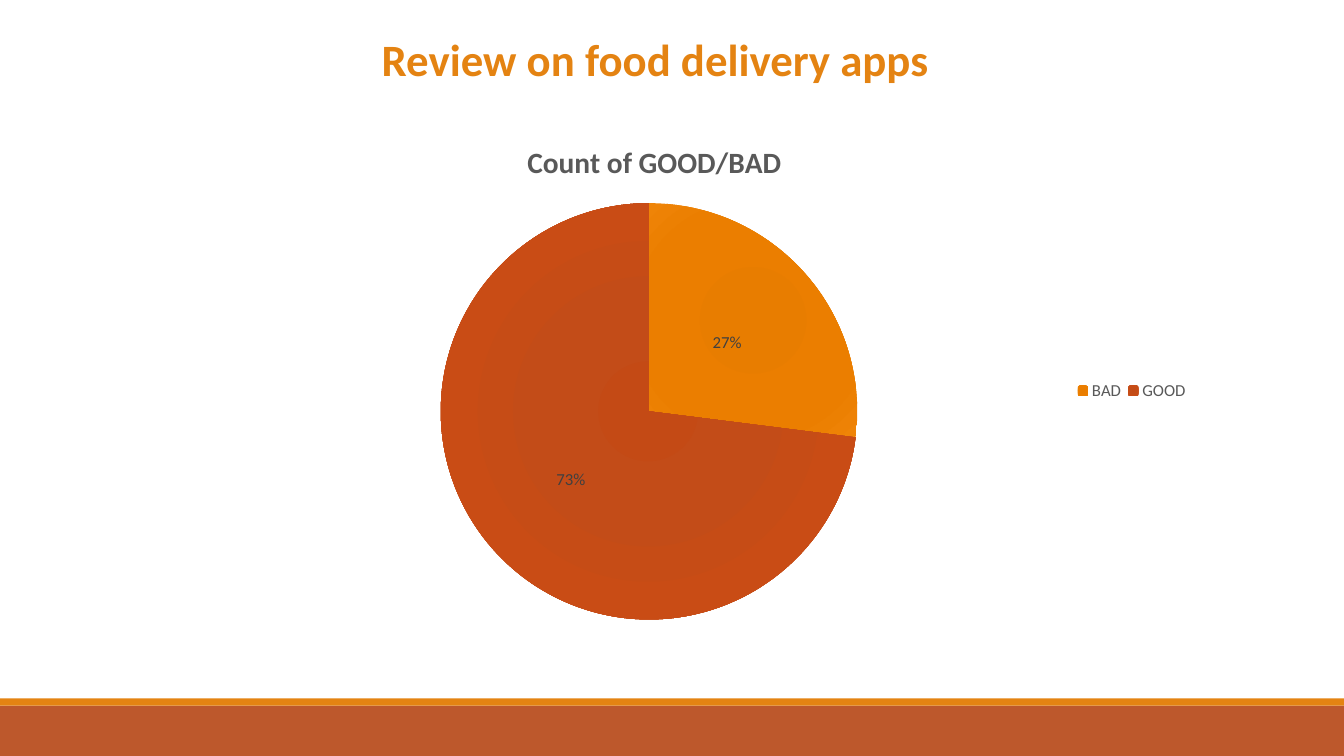
from pptx import Presentation
from pptx.chart.data import CategoryChartData
from pptx.dml.color import RGBColor
from pptx.enum.chart import XL_CHART_TYPE, XL_LABEL_POSITION, XL_LEGEND_POSITION
from pptx.enum.shapes import MSO_SHAPE
from pptx.enum.text import PP_ALIGN
from pptx.oxml import parse_xml
from pptx.oxml.ns import nsdecls, qn
from pptx.util import Inches, Pt

RECTANGLE = MSO_SHAPE.RECTANGLE
RIGHT = PP_ALIGN.RIGHT
PIE = XL_CHART_TYPE.PIE
LABEL_CENTER = XL_LABEL_POSITION.CENTER
LEGEND_RIGHT = XL_LEGEND_POSITION.RIGHT

FONT = "Calibri"
COLORS = {
    "orange": "E48312",
    "rust": "BD582C",
    "heading": "595959",
    "label": "404040",
}
REVIEWS = {"BAD": 27, "GOOD": 73}
GRADIENT_STOPS = (0, 34, 70, 100)
SLICE_GRADIENTS = (
    ("E57B00", "E87D00", "EB7E00", "EF8407"),
    ("C44A15", "C34C18", "C94C15", "C45525"),
)


def style_font(font, size, color, bold=False):
    font.name = FONT
    font.size = Pt(size)
    font.bold = bold
    font.color.rgb = RGBColor.from_string(COLORS[color])


def write_text(frame, text, align=None, **font_format):
    paragraph = frame.paragraphs[0]
    paragraph.alignment = align
    run = paragraph.add_run()
    run.text = text
    style_font(run.font, **font_format)


def add_band(slide, top, height, color):
    band = slide.shapes.add_shape(
        RECTANGLE, Inches(0), Inches(top), Inches(13.33), Inches(height))
    band.shadow.inherit = False
    band.fill.solid()
    band.fill.fore_color.rgb = RGBColor.from_string(COLORS[color])
    band.line.fill.background()


def add_heading(slide, text):
    heading = slide.shapes.add_textbox(
        Inches(2.06), Inches(0.27), Inches(7.25), Inches(0.64))
    heading.text_frame.word_wrap = True
    write_text(heading.text_frame, text, align=RIGHT,
               size=32, color="orange", bold=True)


def place_part(part, **fractions):
    """Place a chart part by fractions (x, y, w, h) of the chart area."""
    for old_layout in part.findall(qn("c:layout")):
        part.remove(old_layout)
    target = '<c:layoutTarget val="inner"/>' if part.tag == qn("c:plotArea") else ""
    modes = "".join(f'<c:{axis}Mode val="edge"/>' for axis in "xy")
    values = "".join(f'<c:{key} val="{value}"/>' for key, value in fractions.items())
    layout = parse_xml(
        f'<c:layout {nsdecls("c")}><c:manualLayout>{target}{modes}{values}'
        "</c:manualLayout></c:layout>")
    overlay = part.find(qn("c:overlay"))
    if overlay is None:
        part.insert(0, layout)
    else:
        overlay.addprevious(layout)


def radial_fill(colors):
    stops = "".join(
        f'<a:gs pos="{stop * 1000}"><a:srgbClr val="{color}"/></a:gs>'
        for stop, color in zip(GRADIENT_STOPS, colors))
    return parse_xml(
        f'<a:gradFill {nsdecls("a")} rotWithShape="1"><a:gsLst>{stops}</a:gsLst>'
        '<a:path path="circle"><a:fillToRect l="100000" t="100000" '
        'r="100000" b="100000"/></a:path></a:gradFill>')


def add_review_pie(slide):
    review_data = CategoryChartData()
    review_data.categories = list(REVIEWS)
    review_data.add_series("Series 1", list(REVIEWS.values()))
    chart = slide.shapes.add_chart(
        PIE, Inches(1.75), Inches(1.2), Inches(10.08), Inches(5.1), review_data).chart
    chart.font.name = FONT
    chart.font.size = Pt(10)
    pie = chart.plots[0]
    pie.vary_by_categories = True

    # Chart title
    write_text(chart.chart_title.text_frame, "Count of GOOD/BAD",
               size=21, color="heading", bold=True)
    chart.chart_title.include_in_layout = False

    # Legend
    chart.has_legend = True
    chart.legend.position = LEGEND_RIGHT
    chart.legend.include_in_layout = False
    style_font(chart.legend.font, size=12, color="heading")

    # Slices
    for index in range(len(REVIEWS)):
        pie.series[0].points[index].format.fill.solid()
    for review_slice, colors in zip(chart.element.iter(qn("c:dPt")), SLICE_GRADIENTS):
        properties = review_slice.find(qn("c:spPr"))
        properties.replace(properties.find(qn("a:solidFill")), radial_fill(colors))

    # Percentages
    pie.has_data_labels = True
    labels = pie.data_labels
    labels.show_value = False
    labels.show_percentage = True
    labels.number_format = "0%"
    labels.number_format_is_linked = False
    labels.position = LABEL_CENTER
    style_font(labels.font, size=12, color="label")

    # Placement inside the chart area
    parts = chart.element.chart
    place_part(parts.find(qn("c:title")), x=0.34, y=0.03)
    place_part(parts.find(qn("c:plotArea")), x=0.26, y=0.16, w=0.41, h=0.81)
    place_part(parts.find(qn("c:legend")), x=0.88, y=0.5, w=0.12, h=0.05)


def main():
    deck = Presentation()
    deck.slide_width = Inches(13.33)
    deck.slide_height = Inches(7.5)
    slide = deck.slides.add_slide(deck.slide_layouts[6])

    # Footer bands
    add_band(slide, 7, 0.5, "rust")
    add_band(slide, 6.93, 0.07, "orange")

    add_review_pie(slide)
    add_heading(slide, "Review on food delivery apps")
    deck.save("out.pptx")


if __name__ == "__main__":
    main()
